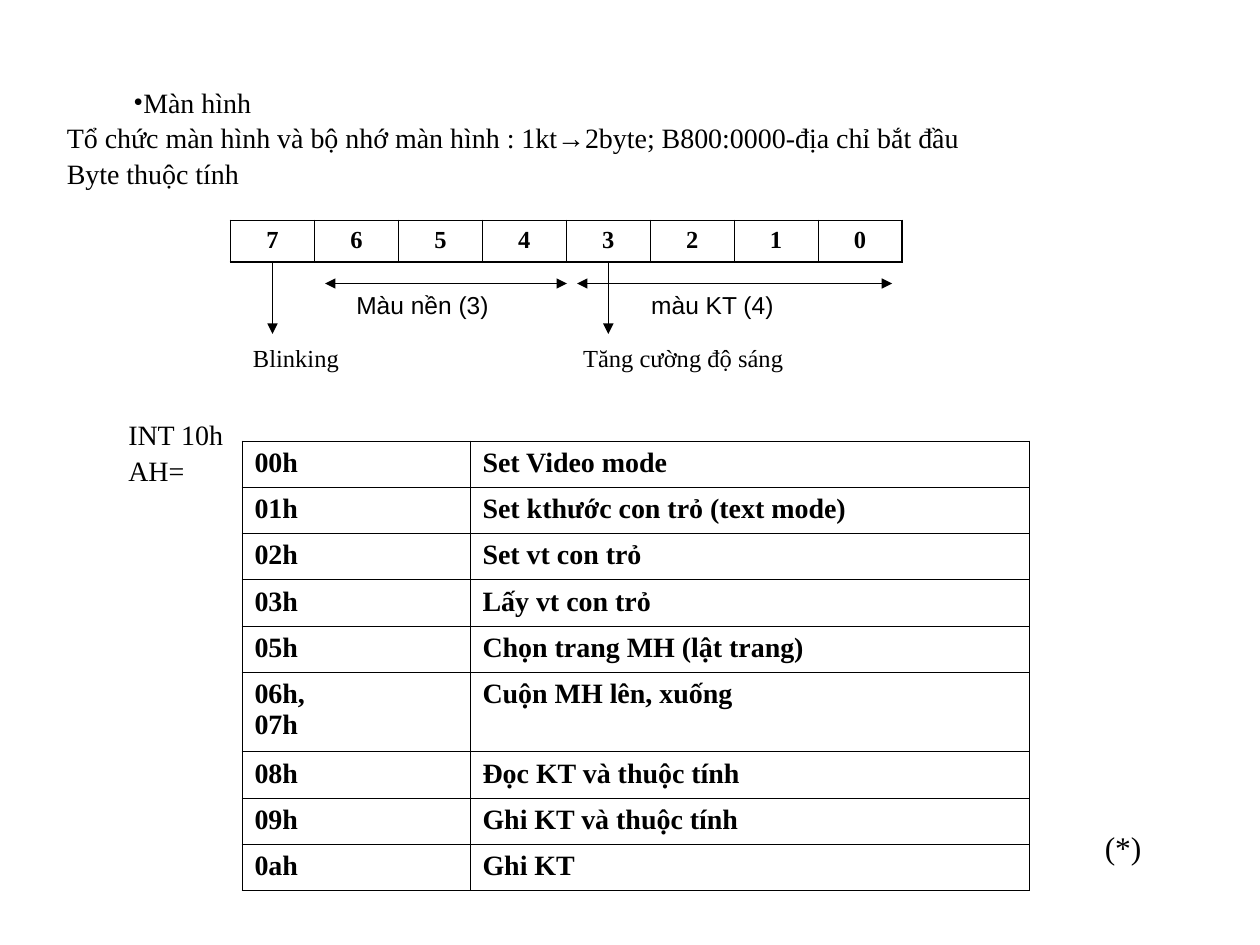
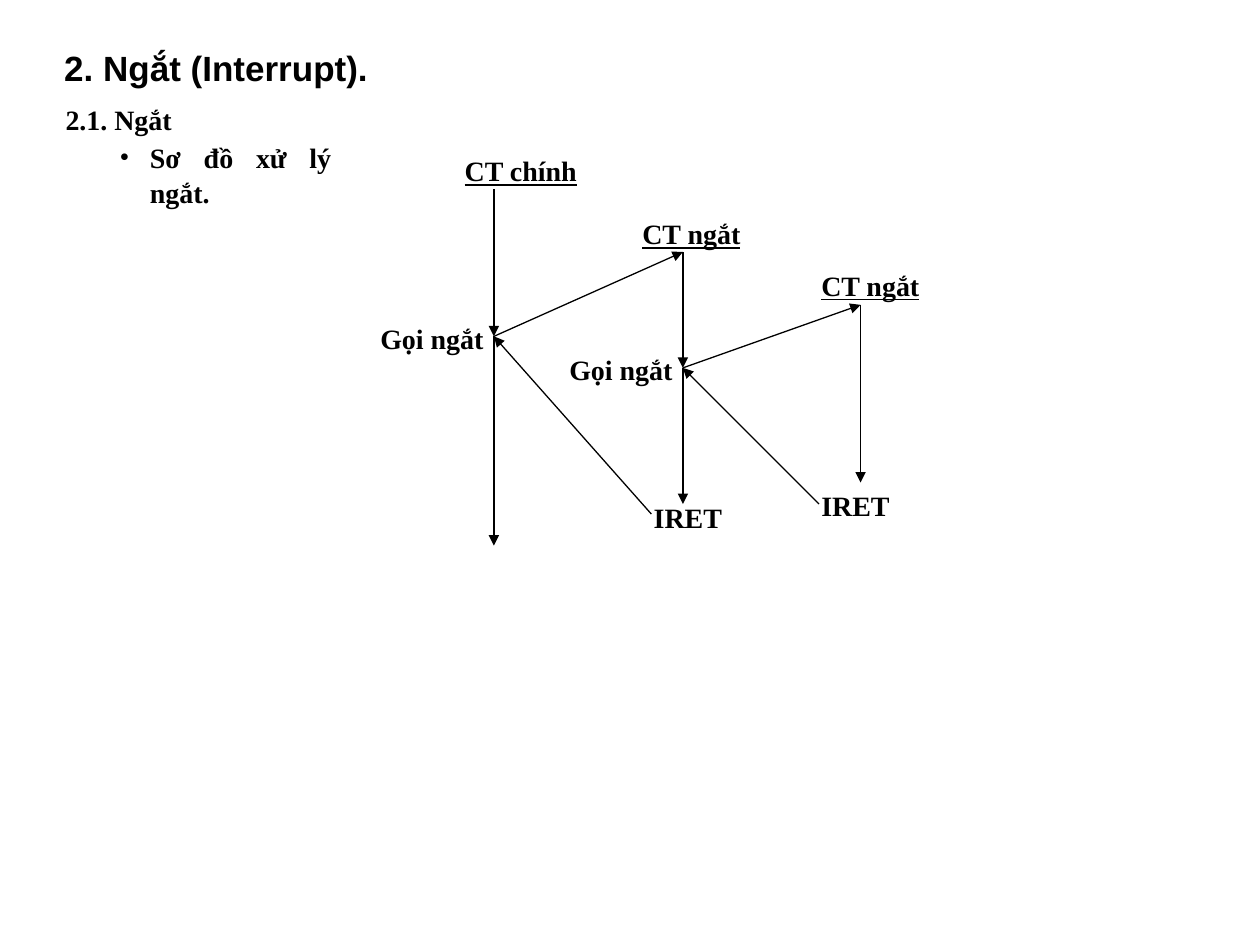
import pptx
import pptx.dml.color
import pptx.enum.shapes
import pptx.enum.text
import pptx.oxml
import pptx.oxml.ns
import pptx.util
from pptx.util import Inches

INK = "000000"
SERIF = "Times New Roman"
SANS = "Arial"
ALIGN = pptx.enum.text.PP_ALIGN
ANCHOR = pptx.enum.text.MSO_ANCHOR
BODY = {"name": SERIF, "size": 16, "bold": False}
STRONG = {**BODY, "bold": True}
HEADING = {"name": SANS, "size": 20, "bold": True}
UNDERLINED = {**STRONG, "underline": True}
NOTE = {**BODY, "size": 14}
SANS_NOTE = {**NOTE, "name": SANS}
FOOTNOTE = {**BODY, "size": 18}
BIT_TEXT = {**STRONG, "size": 14}
FRAME = {
    "margin_left": Inches(0.1), "margin_right": Inches(0.1),
    "margin_top": Inches(0.05), "margin_bottom": Inches(0.05),
    "word_wrap": True, "vertical_anchor": ANCHOR.TOP,
    "auto_size": pptx.enum.text.MSO_AUTO_SIZE.NONE,
}
FUNCTIONS = [
    ("00h", "Set Video mode"),
    ("01h", "Set kthước con trỏ (text mode)"),
    ("02h", "Set vt con trỏ"),
    ("03h", "Lấy vt con trỏ"),
    ("05h", "Chọn trang MH (lật trang)"),
    ("06h,\n07h", "Cuộn MH lên, xuống"),
    ("08h", "Đọc KT và thuộc tính"),
    ("09h", "Ghi KT và thuộc tính"),
    ("0ah", "Ghi KT"),
]


def rgb(color):
    return pptx.dml.color.RGBColor.from_string(color)


def set_attrs(obj, values):
    for name, value in values.items():
        setattr(obj, name, value)


def add_xml(parent, xml):
    ns = pptx.oxml.ns.nsdecls("a")
    el = pptx.oxml.parse_xml(xml.replace(" ", f" {ns} ", 1))
    parent.append(el)
    return el


def write(tf, text, fmt, align=ALIGN.LEFT, spacing=1.0):
    for i, line in enumerate(text.split("\n")):
        p = tf.paragraphs[0] if i == 0 else tf.add_paragraph()
        set_attrs(p, {"alignment": align, "line_spacing": spacing,
                      "space_before": pptx.util.Pt(0)})
        r = p.add_run()
        r.text = line
        set_attrs(r.font, {**fmt, "size": pptx.util.Pt(fmt["size"])})
        r.font.color.rgb = rgb(INK)


def place(sp, box):
    set_attrs(sp, dict(zip(("left", "top", "width", "height"), map(Inches, box))))


def fill_placeholder(sp, box, text, fmt, align=ALIGN.LEFT, spacing=1.0):
    place(sp, box)
    set_attrs(sp.text_frame, FRAME)
    write(sp.text_frame, text, fmt, align, spacing)


def indent(p, margin=0, first=0, bullet=False):
    pPr = p._p.get_or_add_pPr()
    pPr.set("marL", str(Inches(margin)))
    pPr.set("indent", str(Inches(first)))
    if bullet:
        add_xml(pPr, '<a:buFont typeface="Times New Roman"/>')
        add_xml(pPr, '<a:buChar char="•"/>')
    else:
        add_xml(pPr, "<a:buNone />")


def add_text(slide, box, text, fmt, spacing=1.0):
    sp = slide.shapes.add_textbox(*map(Inches, box))
    set_attrs(sp.text_frame, FRAME)
    write(sp.text_frame, text, fmt, spacing=spacing)


def add_arrow(slide, start, end, both=False):
    sp = slide.shapes.add_connector(
        pptx.enum.shapes.MSO_CONNECTOR.STRAIGHT, *map(Inches, (*start, *end)))
    sp.line.color.rgb = rgb(INK)
    sp.line.width = pptx.util.Pt(0.75)
    ln = sp.line._get_or_add_ln()
    if both:
        add_xml(ln, '<a:headEnd type="triangle"/>')
    add_xml(ln, '<a:tailEnd type="triangle"/>')
    add_xml(sp._element.spPr, "<a:effectLst />")


def add_grid(slide, box, rows, widths, heights, fmt, align, outer=0.45):
    table = slide.shapes.add_table(len(rows), len(widths), *map(Inches, box)).table
    set_attrs(table, {"first_row": False, "horz_banding": False})
    for col, width in zip(table.columns, widths):
        col.width = Inches(width)
    for r, (values, height) in enumerate(zip(rows, heights)):
        table.rows[r].height = Inches(height)
        for c, value in enumerate(values):
            cell = table.cell(r, c)
            write(cell.text_frame, value, fmt, align)
            edges = {"L": c == 0, "R": c == len(widths) - 1,
                     "T": r == 0, "B": r == len(rows) - 1}
            for side, is_outer in edges.items():
                width = pptx.util.Pt(outer if is_outer else 0.45)
                add_xml(cell._tc.get_or_add_tcPr(),
                        f'<a:ln{side} w="{width}"><a:solidFill><a:srgbClr val="{INK}"/>'
                        f'</a:solidFill></a:ln{side}>')
            cell.fill.background()


def add_attribute_byte(slide, box):
    x, y, w, h = box
    bit_w = w / 8
    bits = [str(bit) for bit in range(7, -1, -1)]
    add_grid(slide, box, [bits], [bit_w] * 8, [h], BIT_TEXT, ALIGN.CENTER, 1.08)
    for left, right in ((0.75, 2.67), (2.75, 5.25)):
        add_arrow(slide, (x + left, y + 0.5), (x + right, y + 0.5), both=True)
    for column in (0, 4):
        bit_x = x + (column + 0.5) * bit_w
        add_arrow(slide, (bit_x, y + h), (bit_x, y + 0.9))
    for dx, dy, text, fmt in (
            (0.9, 0.5, "Màu nền (3)", SANS_NOTE), (3.24, 0.5, "màu KT (4)", SANS_NOTE),
            (0.08, 0.92, "Blinking", NOTE), (2.7, 0.92, "Tăng cường độ sáng", NOTE)):
        add_text(slide, (x + dx, y + dy, 2, 0.34), text, fmt)


def add_function_table(slide, box):
    x, y, w, h = box
    tall = 0.63
    row_h = (h - tall) / (len(FUNCTIONS) - 1)
    heights = [tall if "\n" in code else row_h for code, _ in FUNCTIONS]
    add_text(slide, (x - 1, y - 0.25, 1.1, 0.64), "INT 10h\nAH=", BODY, 1.06)
    add_grid(slide, box, FUNCTIONS, [1.81, w - 1.81], heights, STRONG, ALIGN.JUSTIFY)


def add_interrupt_flow(slide, box):
    x, y, w, h = box
    main_x, first_x, second_x = x + 1, x + 2.5, x + 3.91
    main_call = (main_x, y + 1.5)
    first_start, first_call = (first_x, y + 0.83), (first_x, y + 1.75)
    second_start = (second_x, y + 1.25)
    for start, end in (
            ((main_x, y + 0.33), main_call),
            (main_call, first_start),
            (first_start, first_call),
            (first_call, second_start),
            (second_start, (second_x, y + 2.66)),
            ((x + 3.58, y + 2.83), first_call),
            (first_call, (first_x, y + 2.83)),
            ((x + 2.25, y + 2.91), main_call),
            (main_call, (main_x, y + h))):
        add_arrow(slide, start, end)
    for dx, dy, text, fmt in (
            (0.67, 0, "CT chính", UNDERLINED), (2.08, 0.5, "CT ngắt", UNDERLINED),
            (3.5, 0.91, "CT ngắt", UNDERLINED), (0, 1.33, "Gọi ngắt", STRONG),
            (1.5, 1.58, "Gọi ngắt", STRONG), (2.17, 2.75, "IRET", STRONG),
            (3.5, 2.66, "IRET", STRONG)):
        add_text(slide, (x + dx, y + dy, 1.2, 0.37), text, fmt)


def add_screen_slide(prs):
    slide = prs.slides.add_slide(prs.slide_layouts[1])
    title = slide.shapes.title._element
    title.getparent().remove(title)
    body = slide.placeholders[1]
    fill_placeholder(
        body, (0.43, 0.61, 7.5, 0.9),
        "Màn hình\n"
        "Tổ chức màn hình và bộ nhớ màn hình : 1kt→2byte; B800:0000-địa chỉ bắt đầu\n"
        "Byte thuộc tính", BODY, ALIGN.JUSTIFY, 1.06)
    first, *others = body.text_frame.paragraphs
    indent(first, first=0.53, bullet=True)
    for p in others:
        indent(p)
    add_attribute_byte(slide, (1.83, 1.75, 5.33, 0.33))
    add_function_table(slide, (1.92, 3.5, 6.25, 3.57))
    add_text(slide, (8.67, 6.52, 0.5, 0.4), "(*)", FOOTNOTE)


def add_interrupt_slide(prs):
    slide = prs.slides.add_slide(prs.slide_layouts[1])
    fill_placeholder(slide.shapes.title, (0.41, 0.32, 3, 0.44),
                     "2. Ngắt (Interrupt).", HEADING)
    body = slide.placeholders[1]
    fill_placeholder(body, (0.42, 0.75, 2.31, 0.92),
                     "2.1. Ngắt\nSơ đồ xử lý ngắt.", STRONG, ALIGN.JUSTIFY, 1.06)
    section, item = body.text_frame.paragraphs
    indent(section)
    indent(item, 0.67, -0.24, bullet=True)
    item.space_before = pptx.util.Pt(1)
    add_interrupt_flow(slide, (2.92, 1.17, 4.48, 3.16))


def main():
    prs = pptx.Presentation()
    set_attrs(prs, {"slide_width": Inches(10), "slide_height": Inches(7.5)})
    add_screen_slide(prs)
    add_interrupt_slide(prs)
    prs.save("out.pptx")


if __name__ == "__main__":
    main()
